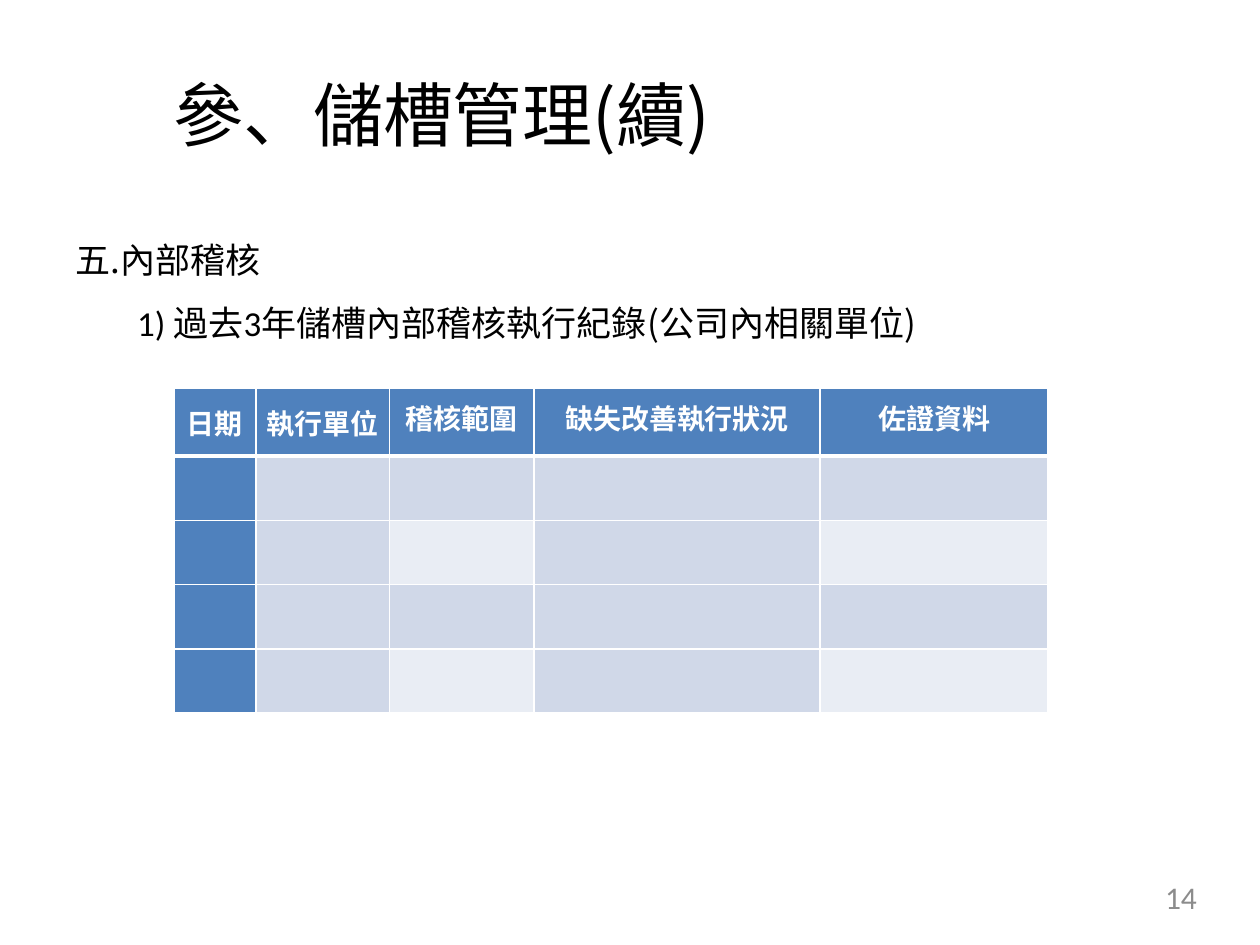
"""Build the internal audit slide of the storage tank management deck."""
from lxml import etree
from pptx import Presentation
from pptx.dml.color import RGBColor
from pptx.enum.text import MSO_ANCHOR, MSO_AUTO_SIZE, PP_ALIGN
from pptx.oxml.ns import qn
from pptx.util import Inches, Pt

LEFT, CENTER, RIGHT = PP_ALIGN.LEFT, PP_ALIGN.CENTER, PP_ALIGN.RIGHT
TOP, MIDDLE = MSO_ANCHOR.TOP, MSO_ANCHOR.MIDDLE
GROW = MSO_AUTO_SIZE.SHAPE_TO_FIT_TEXT
BLACK = RGBColor(0x00, 0x00, 0x00)
WHITE = RGBColor(0xFF, 0xFF, 0xFF)
GRAY = RGBColor(0x8C, 0x8C, 0x8C)
BLUE = RGBColor(0x4F, 0x81, 0xBD)
BAND = RGBColor(0xD0, 0xD8, 0xE8)
PALE = RGBColor(0xE9, 0xED, 0xF4)
LATIN, CJK = "Calibri", "Noto Sans CJK SC"


def add_text(paragraph, text, font=CJK, size=20, color=BLACK, bold=False,
             align=LEFT, line_spacing=None, indent=0, tracking=0):
    paragraph.alignment = align
    paragraph.line_spacing = line_spacing
    properties = paragraph._p.get_or_add_pPr()
    properties.set("marL", str(Inches(indent)))
    properties.set("indent", "0")
    run = paragraph.add_run()
    run.text = text
    run.font.name = font
    run.font.size = Pt(size)
    run.font.bold = bold
    run.font.color.rgb = color
    run_properties = run.font._element
    run_properties.set("spc", str(round(tracking * 100)))
    etree.SubElement(run_properties, qn("a:ea"), typeface=CJK)


def add_border(cell, side, width):
    line = etree.SubElement(cell._tc.get_or_add_tcPr(), qn(f"a:ln{side}"), w=str(Pt(width)))
    fill = etree.SubElement(line, qn("a:solidFill"))
    etree.SubElement(fill, qn("a:srgbClr"), val=str(WHITE))


prs = Presentation()
prs.slide_width, prs.slide_height = Inches(10), Inches(7.5)
slide = prs.slides.add_slide(prs.slide_layouts[5])

title = slide.shapes.title
title.left, title.top, title.width, title.height = map(Inches, (1.37, 0.57, 7.63, 0.67))
page_number = slide.shapes.add_textbox(Inches(7.2), Inches(6.97), Inches(2.3), Inches(0.38))
for box in (title, page_number):
    frame = box.text_frame
    frame.margin_left = frame.margin_right = frame.margin_top = frame.margin_bottom = 0
    frame.vertical_anchor = TOP
    frame.word_wrap = True
    frame.auto_size = GROW
add_text(title.text_frame.paragraphs[0], "參、儲槽管理(續)", size=40, indent=0.01, tracking=-0.1)
add_text(page_number.text_frame.paragraphs[0], "14", font=LATIN, size=18, color=GRAY, align=RIGHT)

section = slide.shapes.add_textbox(Inches(0.5), Inches(1.67), Inches(9.33), Inches(1.11)).text_frame
section.word_wrap = True
section.auto_size = GROW
section.vertical_anchor = MIDDLE
add_text(section.paragraphs[0], "五.內部稽核", line_spacing=1.5)
item = section.add_paragraph()
for text, font in (("1) ", LATIN), ("過去", CJK), ("3", LATIN),
                   ("年儲槽內部稽核執行紀錄(公司內相關單位)", CJK)):
    add_text(item, text, font=font, line_spacing=1.5, indent=0.49)

headings = ["日期", "執行單位", "稽核範圍", "缺失改善執行狀況", "佐證資料"]
column_widths = [0.65, 1.06, 1.15, 2.27, 1.81]
row_heights = [0.54] + [0.51] * 4
audits = slide.shapes.add_table(len(row_heights), len(headings), Inches(1.38), Inches(3.08),
                                Inches(sum(column_widths)), Inches(sum(row_heights))).table
for column, width in zip(audits.columns, column_widths):
    column.width = Inches(width)
for r, height in enumerate(row_heights):
    audits.rows[r].height = Inches(height)
    for c, heading in enumerate(headings):
        cell = audits.cell(r, c)
        cell.margin_left = cell.margin_right = Inches(0.07)
        cell.margin_top = cell.margin_bottom = 0
        cell.vertical_anchor = MIDDLE
        for side, width in (("L", 1), ("R", 1), ("T", 3 if r == 1 else 1), ("B", 3 if r == 0 else 1)):
            add_border(cell, side, width)
        cell.fill.solid()
        if r == 0 or c == 0:
            cell.fill.fore_color.rgb = BLUE
        else:
            cell.fill.fore_color.rgb = PALE if r % 2 == 0 and c % 2 == 0 else BAND
        if r == 0:
            add_text(cell.text_frame.paragraphs[0], heading, font=LATIN, size=16, color=WHITE,
                     bold=True, align=CENTER, line_spacing=Pt(18) if c >= 2 else None)

prs.save("out.pptx")
